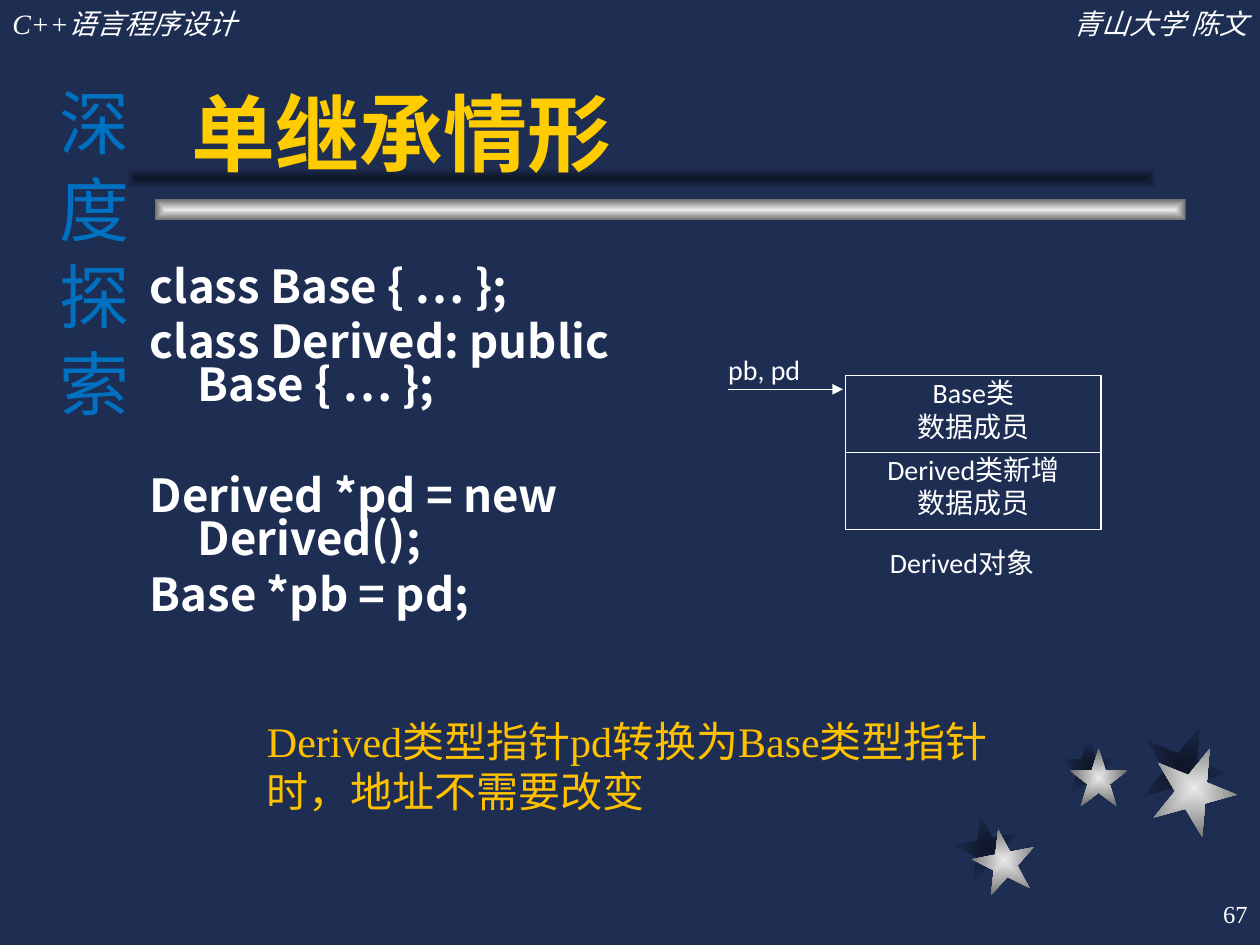
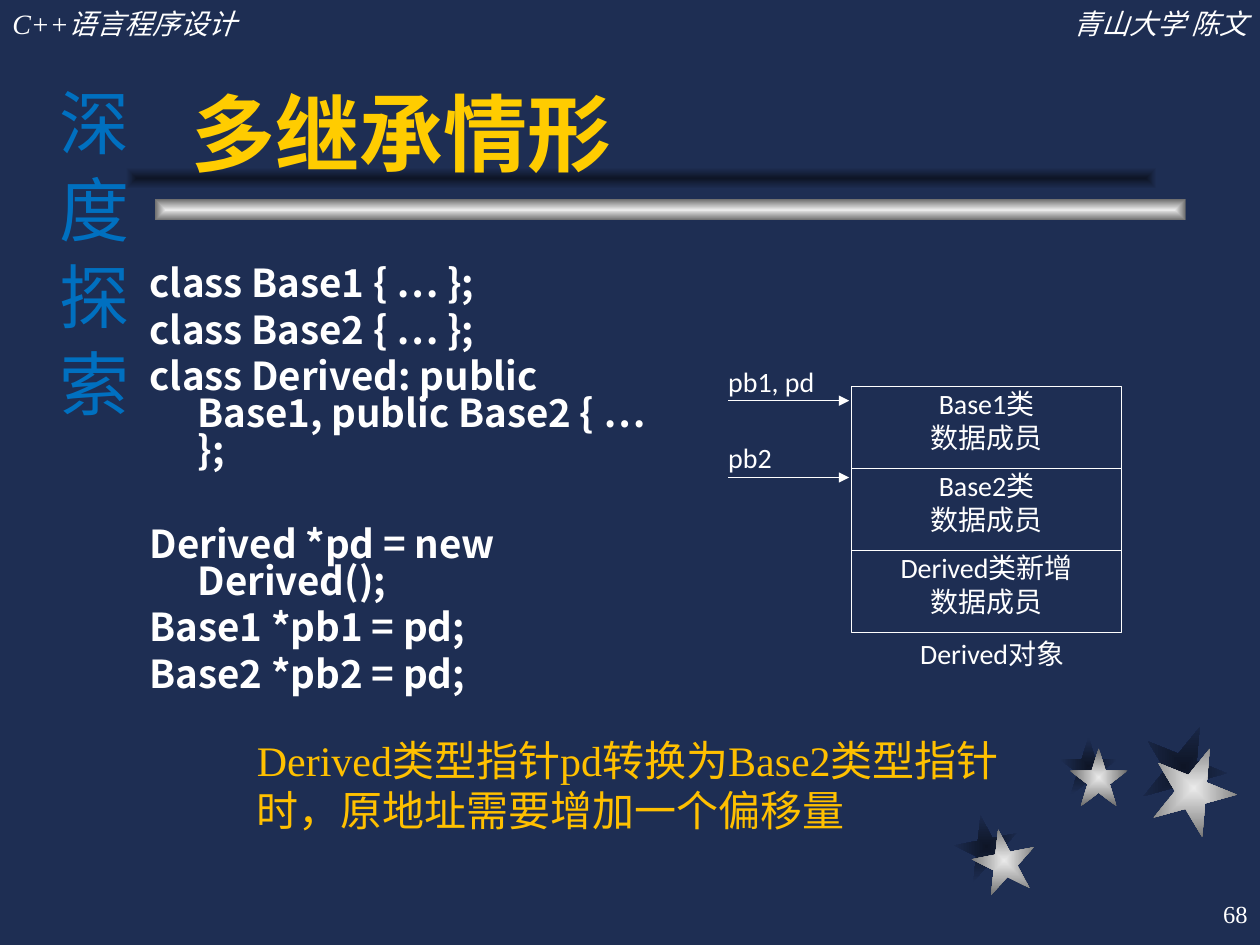
from lxml import etree
from pptx import Presentation
from pptx.dml.color import RGBColor
from pptx.enum import shapes as sh, text as tx
from pptx.oxml.ns import qn
from pptx.util import Inches, Pt

NAVY, WHITE, TITLE_GOLD, NOTE_GOLD, BLUE = "1E2E53", "FFFFFF", "FFCC00", "FFC000", "0070C0"
SHADE, SILVER = ("0E1526", NAVY), ("EAEAEA", "6C6C6C")
SERIF, SANS, CODE = "Times New Roman", "Calibri", "Noto Sans CJK SC"
LEFT, CENTER, RIGHT = tx.PP_ALIGN.LEFT, tx.PP_ALIGN.CENTER, tx.PP_ALIGN.RIGHT


def write_text(shape, lines, size, font, color, align=LEFT, inset=(0.1, 0.05),
               anchor=tx.MSO_ANCHOR.TOP, wrap=True):
    """Fill a shape with one paragraph per line and return its paragraphs."""
    frame = shape.text_frame
    frame.auto_size = tx.MSO_AUTO_SIZE.NONE
    frame.word_wrap = wrap
    frame.vertical_anchor = anchor
    frame.margin_left = frame.margin_right = Inches(inset[0])
    frame.margin_top = frame.margin_bottom = Inches(inset[1])
    frame.text = "\n".join(lines)
    for paragraph in frame.paragraphs:
        paragraph.alignment = align
        paragraph.font.size = Pt(size)
        paragraph.font.name = font
        paragraph.font.color.rgb = RGBColor.from_string(color)
    return frame.paragraphs


def add_glow_shape(slide, preset, place, colors, rotation=0):
    """Add a borderless preset shape whose gradient runs from centre to edge."""
    shape = slide.shapes.add_shape(preset, *map(Inches, place))
    shape.rotation = rotation
    shape.shadow.inherit = False
    shape.line.fill.background()
    shape.fill.gradient()
    for stop, color in zip(shape.fill.gradient_stops, colors):
        stop.color.rgb = RGBColor.from_string(color)
    gradient = shape.element.spPr.find(qn("a:gradFill"))
    gradient.remove(gradient.find(qn("a:lin")))
    path = etree.Element(qn("a:path"), path="rect")
    etree.SubElement(path, qn("a:fillToRect"), l="50000", t="50000", r="50000", b="50000")
    gradient.find(qn("a:gsLst")).addnext(path)


# Star: size, rotation, corner of its shade, corner of the star itself
stars = [
    (0.5, 349, (7.58, 6.47), (7.72, 6.58)),
    (0.46, 0, (8.41, 5.85), (8.49, 5.94)),
    (0.67, 22, (9.06, 5.75), (9.14, 5.92)),
]

# The code comes in two blocks: declarations, then statements.
lessons = [
    dict(
        number=67, title="单继承情形", code_size=26, code_height=3.07,
        declarations=["class Base { … };", "class Derived: public Base { … };"],
        statements=["Derived *pd = new Derived();", "Base *pb = pd;"],
        note=["Derived类型指针pd转换为Base类型指针", "时，地址不需要改变"],
        note_place=(2.02, 5.63, 6.32, 0.9),
        members=["Base类", "Derived类新增"], member_place=(6.71, 2.98, 2.03, 0.61),
        pointers=[("pb, pd", 3.09)], caption_place=(7, 4.33, 1.27, 0.32),
    ),
    dict(
        number=68, title="多继承情形", code_size=22, code_height=3.54,
        declarations=["class Base1 { … };", "class Base2 { … };",
                      "class Derived: public Base1, public Base2 { … };"],
        statements=["Derived *pd = new Derived();", "Base1 *pb1 = pd;", "Base2 *pb2 = pd;"],
        note=["Derived类型指针pd转换为Base2类型指针", "时，原地址需要增加一个偏移量"],
        note_place=(1.94, 5.78, 6.49, 0.9),
        members=["Base1类", "Base2类", "Derived类新增"], member_place=(6.76, 3.07, 2.14, 0.65),
        pointers=[("pb1, pd", 3.18), ("pb2", 3.79)], caption_place=(7.21, 5.05, 1.33, 0.34),
    ),
]

prs = Presentation()
prs.slide_width, prs.slide_height = Inches(10), Inches(7.5)
backdrop = prs.slide_master.background.fill
backdrop.solid()
backdrop.fore_color.rgb = RGBColor.from_string(NAVY)

for lesson in lessons:
    slide = prs.slides.add_slide(prs.slide_layouts[5])
    title = slide.shapes.title
    # Keep the title in front of the decoration
    tree = title.element.getparent()

    for size, rotation, corner, _ in stars:
        add_glow_shape(slide, sh.MSO_SHAPE.STAR_5_POINT, (*corner, size, size), SHADE, rotation)
    for size, rotation, _, corner in stars:
        add_glow_shape(slide, sh.MSO_SHAPE.STAR_5_POINT, (*corner, size, size), SILVER, rotation)
    add_glow_shape(slide, sh.MSO_SHAPE.RECTANGLE, (1.23, 1.58, 8.18, 0.17), SILVER)
    add_glow_shape(slide, sh.MSO_SHAPE.RECTANGLE, (1, 1.33, 8.18, 0.17), SHADE)

    for left, align, words in [(0, LEFT, "C++语言程序设计"), (6.92, RIGHT, "青山大学 陈文")]:
        header = slide.shapes.add_textbox(Inches(left), 0, Inches(3.08), Inches(0.37))
        write_text(header, [words], 16, SERIF, WHITE, align)[0].font.italic = True

    tree.append(title.element)
    title.left, title.top = Inches(1.42), Inches(0.25)
    title.width, title.height = Inches(7.83), Inches(1.25)
    write_text(title, [lesson["title"]], 48, "Arial", TITLE_GOLD,
               anchor=tx.MSO_ANCHOR.BOTTOM)[0].font.bold = True

    # Code with hanging indents; one line of space parts the two blocks
    code_size = lesson["code_size"]
    code = slide.shapes.add_textbox(Inches(1.09), Inches(2.08), Inches(4.14),
                                    Inches(lesson["code_height"]))
    code_lines = write_text(code, lesson["declarations"] + lesson["statements"],
                            code_size, CODE, WHITE)
    for code_line in code_lines:
        code_line.font.bold = True
        code_line.line_spacing = 0.8
        code_line.space_before = Pt(code_size * 0.25)
        indents = code_line._p.get_or_add_pPr()
        indents.set("marL", str(Inches(0.38)))
        indents.set("indent", str(-Inches(0.38)))
    code_lines[len(lesson["declarations"])].space_before = Pt(code_size * 1.47)

    page = slide.shapes.add_textbox(Inches(7.92), Inches(7), Inches(2.08), Inches(0.5))
    write_text(page, [str(lesson["number"])], 14, SERIF, WHITE, RIGHT,
               anchor=tx.MSO_ANCHOR.MIDDLE)

    note = slide.shapes.add_textbox(*map(Inches, lesson["note_place"]))
    write_text(note, lesson["note"], 24, SERIF, NOTE_GOLD, wrap=False)

    # Memory layout of the derived object
    left, top, width, height = lesson["member_place"]
    for row, owner in enumerate(lesson["members"]):
        member = slide.shapes.add_shape(sh.MSO_SHAPE.RECTANGLE, Inches(left),
                                        Inches(top + row * height), Inches(width), Inches(height))
        member.shadow.inherit = False
        member.fill.background()
        member.line.color.rgb = RGBColor.from_string(WHITE)
        member.line.width = Pt(0.74)
        write_text(member, [owner, "数据成员"], 16, SANS, WHITE, CENTER, (0, 0))

    for names, level in lesson["pointers"]:
        arrow = slide.shapes.add_connector(sh.MSO_CONNECTOR.STRAIGHT, Inches(5.78), Inches(level),
                                           Inches(left - 0.02), Inches(level))
        arrow.line.color.rgb = RGBColor.from_string(WHITE)
        arrow.line.width = Pt(0.74)
        etree.SubElement(arrow.line._get_or_add_ln(), qn("a:tailEnd"), type="triangle")
        etree.SubElement(arrow.element.spPr, qn("a:effectLst"))
        label = slide.shapes.add_textbox(Inches(5.78), Inches(level - 0.29),
                                         Inches(0.86), Inches(0.39))
        write_text(label, [names], 16, SANS, WHITE, inset=(0, 0))

    caption = slide.shapes.add_textbox(*map(Inches, lesson["caption_place"]))
    write_text(caption, ["Derived对象"], 16, SANS, WHITE, CENTER, (0, 0))

    side_label = slide.shapes.add_textbox(Inches(0.25), Inches(0.6), Inches(0.86), Inches(6.33))
    write_text(side_label, ["深 度 探 索"], 40, SERIF, BLUE, CENTER,
               (0.05, 0.1))[0].space_before = Pt(25)
    side_label.text_frame._txBody.bodyPr.set("vert", "eaVert")

prs.save("out.pptx")
